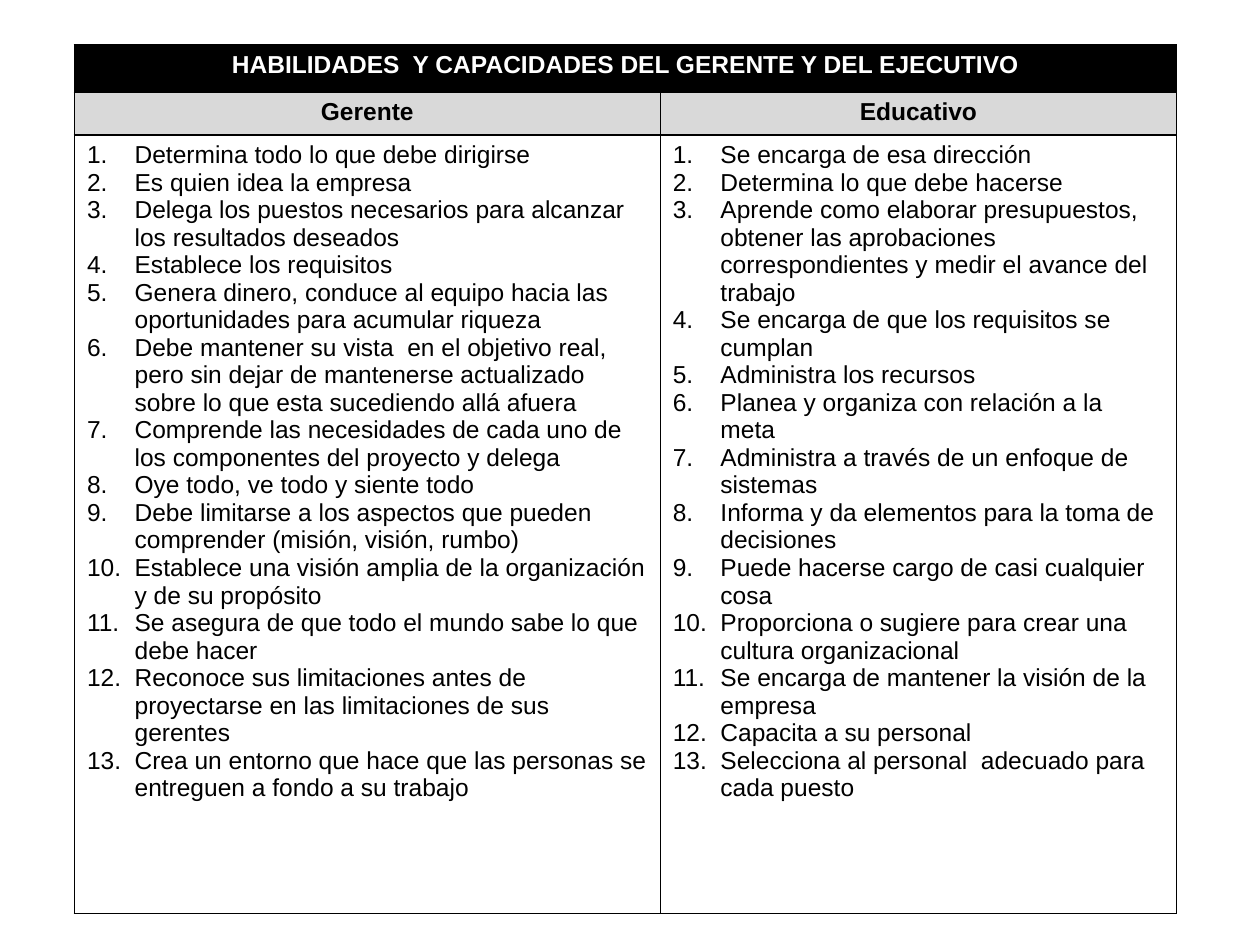
from lxml.etree import SubElement
from pptx import Presentation
from pptx.dml.color import RGBColor
from pptx.enum.text import PP_ALIGN
from pptx.oxml import parse_xml
from pptx.oxml.ns import nsdecls, qn
from pptx.util import Cm, Pt

# Content
HEADING = "HABILIDADES  Y CAPACIDADES DEL GERENTE Y DEL EJECUTIVO"
SKILLS = {
    "Gerente": [
        "Determina todo lo que debe dirigirse",
        "Es quien idea la empresa",
        "Delega los puestos necesarios para alcanzar los resultados deseados",
        "Establece los requisitos",
        "Genera dinero, conduce al equipo hacia las oportunidades para acumular riqueza",
        "Debe mantener su vista  en el objetivo real, pero sin dejar de mantenerse "
        "actualizado sobre lo que esta sucediendo allá afuera",
        "Comprende las necesidades de cada uno de los componentes del proyecto y delega",
        "Oye todo, ve todo y siente todo",
        "Debe limitarse a los aspectos que pueden comprender (misión, visión, rumbo)",
        "Establece una visión amplia de la organización y de su propósito",
        "Se asegura de que todo el mundo sabe lo que debe hacer",
        "Reconoce sus limitaciones antes de proyectarse en las limitaciones de sus gerentes",
        "Crea un entorno que hace que las personas se entreguen a fondo a su trabajo",
    ],
    "Educativo": [
        "Se encarga de esa dirección",
        "Determina lo que debe hacerse",
        "Aprende como elaborar presupuestos, obtener las aprobaciones correspondientes "
        "y medir el avance del trabajo",
        "Se encarga de que los requisitos se cumplan",
        "Administra los recursos",
        "Planea y organiza con relación a la meta",
        "Administra a través de un enfoque de sistemas",
        "Informa y da elementos para la toma de decisiones",
        "Puede hacerse cargo de casi cualquier cosa",
        "Proporciona o sugiere para crear una cultura organizacional",
        "Se encarga de mantener la visión de la empresa",
        "Capacita a su personal",
        "Selecciona al personal  adecuado para cada puesto",
    ],
}
COLORS = {"black": "000000", "white": "FFFFFF", "grey": "D9D9D9"}
FONT, SIZE = "Arial", Pt(14)
COLUMN_WIDTHS = [Cm(11.81), Cm(10.41)]
ROW_HEIGHTS = [Cm(0.95), Cm(0.86), Cm(15.69)]
INDENT = Cm(0.96)


def number(paragraph):
    """Give a paragraph a hanging automatic number."""
    properties = paragraph._p.get_or_add_pPr()
    properties.set("marL", str(INDENT))
    properties.set("indent", str(-INDENT))
    SubElement(properties, qn("a:buFont"), typeface="+mj-lt")
    SubElement(properties, qn("a:buAutoNum"), type="arabicPeriod")


def write(cell, lines, color="black", numbered=False):
    frame = cell.text_frame
    for i, line in enumerate(lines):
        paragraph = frame.add_paragraph() if i else frame.paragraphs[0]
        if numbered:
            number(paragraph)
        else:
            paragraph.alignment = PP_ALIGN.CENTER
        run = paragraph.add_run()
        run.text = line
        run.font.name, run.font.size = FONT, SIZE
        run.font.bold = not numbered
        run.font.color.rgb = RGBColor.from_string(COLORS[color])


def paint(cell, fill):
    """Fill a cell, or leave it clear, and draw its four borders."""
    if fill:
        cell.fill.solid()
        cell.fill.fore_color.rgb = RGBColor.from_string(COLORS[fill])
    else:
        cell.fill.background()
    properties = cell._tc.get_or_add_tcPr()
    for i, side in enumerate(("lnL", "lnR", "lnT", "lnB")):
        properties.insert(i, parse_xml(
            f'<a:{side} {nsdecls("a")} w="{Pt(1)}"><a:solidFill>'
            f'<a:srgbClr val="{COLORS["black"]}"/></a:solidFill></a:{side}>'))


# Slide
deck = Presentation()
deck.slide_width, deck.slide_height = Cm(25.4), Cm(19.05)
slide = deck.slides.add_slide(deck.slide_layouts[6])

# Table grid
skills_table = slide.shapes.add_table(
    len(ROW_HEIGHTS), len(COLUMN_WIDTHS), Cm(1.5), Cm(0.91),
    sum(COLUMN_WIDTHS), sum(ROW_HEIGHTS)).table
for column, width in zip(skills_table.columns, COLUMN_WIDTHS):
    column.width = width
for row, height, fill in zip(skills_table.rows, ROW_HEIGHTS, ("black", "grey", None)):
    row.height = height
    for cell in row.cells:
        paint(cell, fill)

# Heading across both columns, then one column per role
heading_cell = skills_table.cell(0, 0)
heading_cell.merge(skills_table.cell(0, 1))
write(heading_cell, [HEADING], "white")
for c, (role, skills) in enumerate(SKILLS.items()):
    write(skills_table.cell(1, c), [role])
    write(skills_table.cell(2, c), skills, numbered=True)

deck.save("out.pptx")
